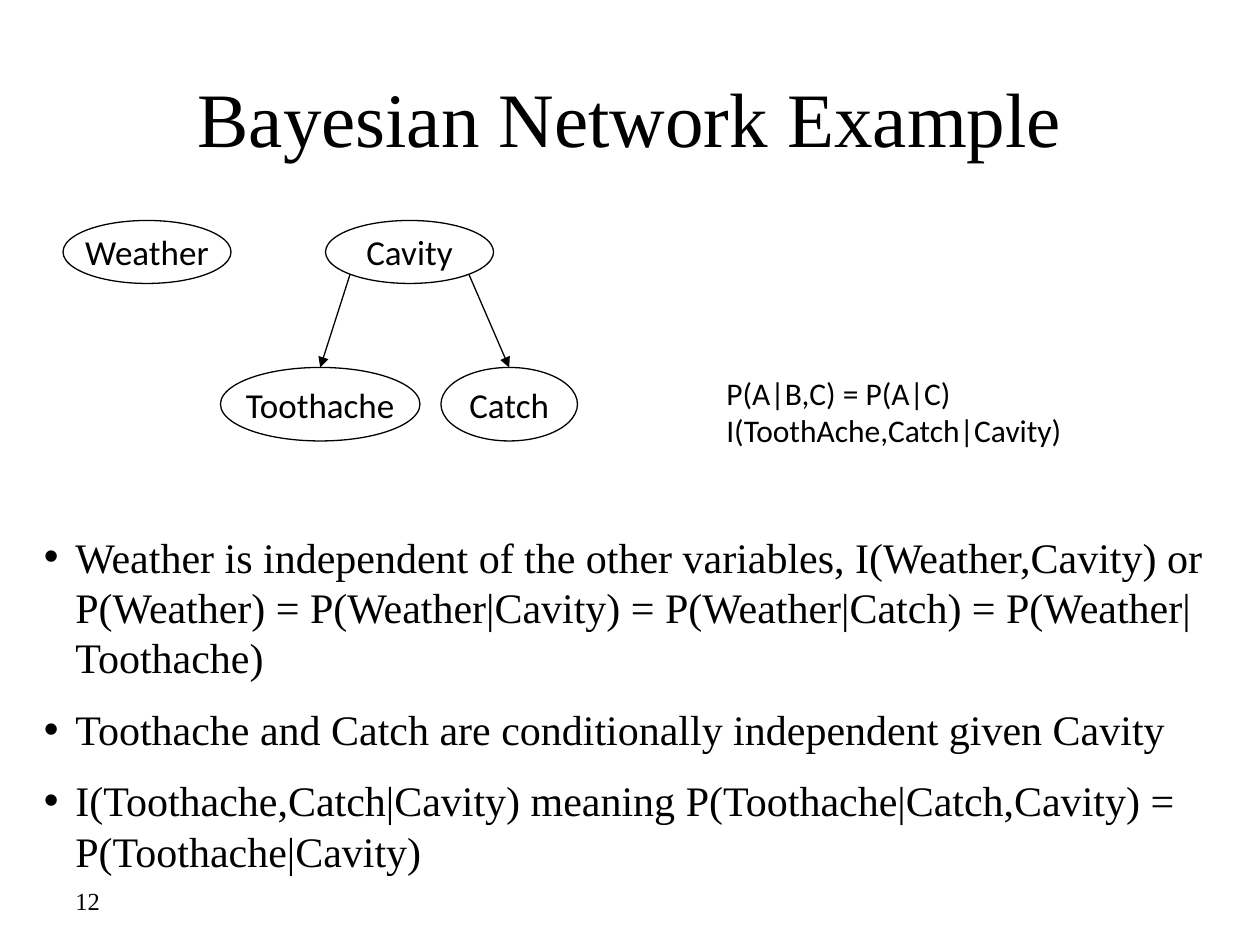
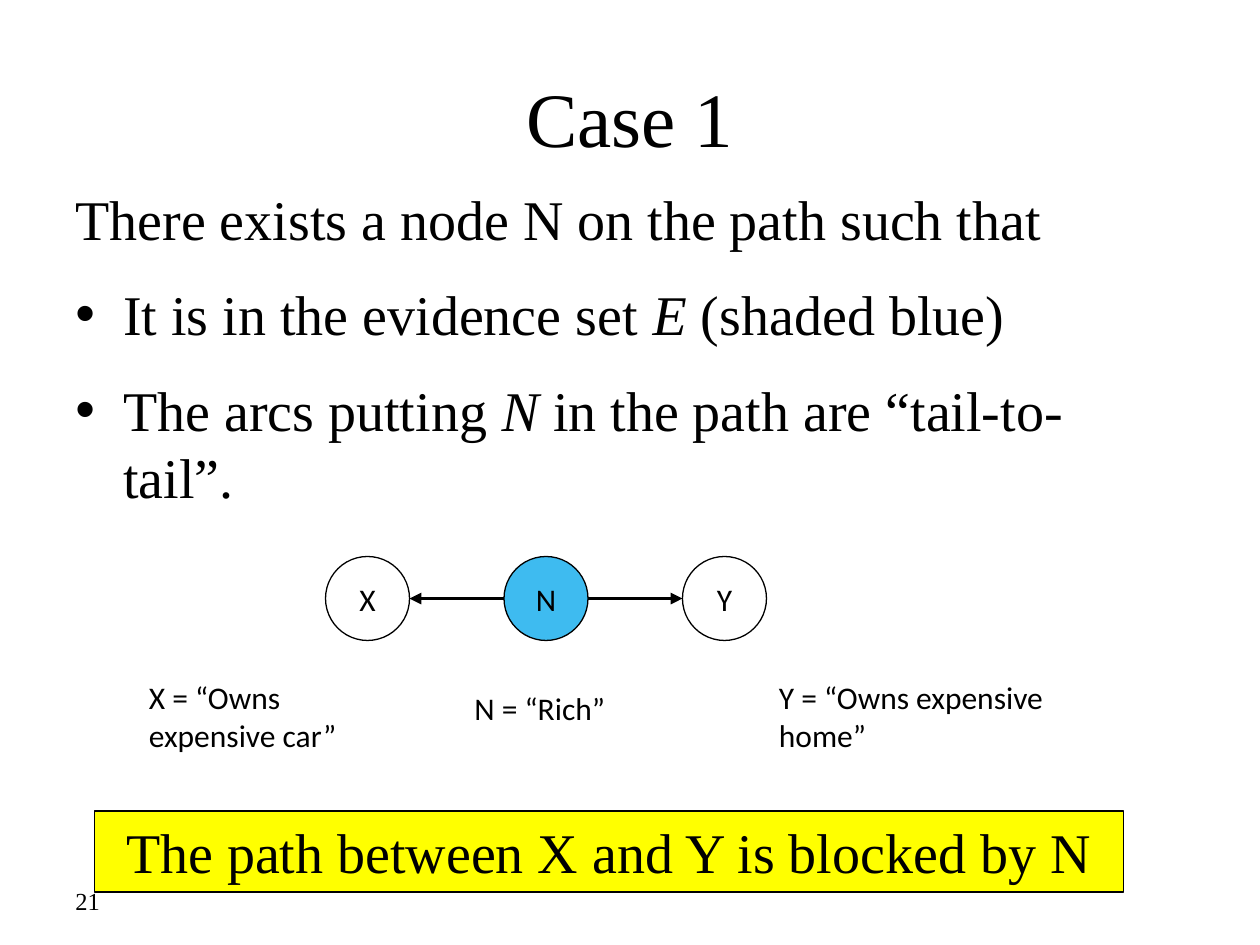
"""Builds two slides on Bayesian networks on a grid of twelfths of an inch."""
from dataclasses import dataclass
from math import cos, pi

from lxml.etree import SubElement
from pptx import Presentation
from pptx.dml.color import RGBColor as Color
from pptx.enum.shapes import MSO_CONNECTOR as Connector, MSO_SHAPE as Shape
from pptx.enum.text import MSO_ANCHOR as Anchor, PP_ALIGN as Align
from pptx.oxml.ns import qn
from pptx.util import Inches, Pt


@dataclass(frozen=True)
class Theme:
    serif: str = "Times New Roman"
    sans: str = "Calibri"
    ink: str = "000000"
    evidence: str = "3EBBF0"
    highlight: str = "FFFF00"
    title: int = 44
    large: int = 32
    body: int = 24
    node: int = 20
    label: int = 18
    number: int = 14
    thin: float = 0.75
    thick: float = 2.25


THEME = Theme()
COLUMNS, ROWS = 120, 90
TITLE_AREA = (6, 3.6, 108, 15)
NUMBER_AREA = (6, 83.4, 28, 4.8)

NETWORK = {
    "title": "Bayesian Network Example",
    "number": "12",
    "nodes": {
        "Weather": (6, 21, 16, 6),
        "Cavity": (31, 21, 16, 6),
        "Toothache": (21, 35, 19, 7),
        "Catch": (42, 35, 13, 7),
    },
    "arcs": [("Cavity", "Toothache", -1), ("Cavity", "Catch", 1)],
    "formulas": ["P(A|B,C) = P(A|C)", "I(ToothAche,Catch|Cavity)"],
    "formulas_area": (68, 35, 60, 10.8),
    "points": [
        "• Weather is independent of the other variables, I(Weather,Cavity) or "
        "P(Weather) = P(Weather|Cavity) = P(Weather|Catch) = P(Weather|Toothache)",
        "• Toothache and Catch are conditionally independent given Cavity",
        "• I(Toothache,Catch|Cavity) meaning P(Toothache|Catch,Cavity) = P(Toothache|Cavity)",
    ],
    "points_area": (3, 50, 113, 34.8),
}

CASE = {
    "title": "Case 1",
    "number": "21",
    "points": [
        "There exists a node N on the path such that",
        "• It is in the evidence set *E *(shaded blue)",
        "• The arcs putting *N* in the path are “tail-to-tail”.",
    ],
    "points_area": (6, 17, 104, 33.2),
    "chain": ["X", "N", "Y"],
    "evidence": "N",
    "chain_start": (31, 53),
    "chain_step": 17,
    "circle": 8,
    "meanings": [
        ("X = “Owns expensive car”", (13, 64, 27, 10.8)),
        ("Y = “Owns expensive home”", (73, 64, 33, 10.8)),
        ("N = “Rich”", (44, 65, 26, 6)),
    ],
    "verdict": "The path between X and Y is blocked by N",
    "verdict_area": (9, 77.25, 98, 7.7),
}


def grid(*cells):
    return [Inches(cell / 12) for cell in cells]


def write(box, lines, size, font, align=Align.LEFT, anchor=Anchor.TOP,
          wrap=True, indent=0, gap=0):
    """Fill a box; a leading • makes a bullet and * switches italics."""
    frame = box.text_frame
    frame.word_wrap = wrap
    frame.vertical_anchor = anchor
    for index, line in enumerate(lines):
        para = frame.paragraphs[0] if index == 0 else frame.add_paragraph()
        para.alignment = align
        para.space_before = Pt(gap if index else 0)
        props = para._p.get_or_add_pPr()
        if indent:
            props.set("marL", str(Inches(indent)))
            props.set("indent", str(-Inches(indent)))
        if line.startswith("• "):
            SubElement(props, qn("a:buFont"), typeface="Arial")
            SubElement(props, qn("a:buChar"), char="•")
        for part, text in enumerate(line.removeprefix("• ").split("*")):
            span = para.add_run()
            span.text = text
            span.font.name = font
            span.font.size = Pt(size)
            span.font.italic = part % 2 == 1
            span.font.color.rgb = Color.from_string(THEME.ink)


def add_text(page, area, lines, size, font=THEME.serif, **style):
    write(page.shapes.add_textbox(*grid(*area)), lines, size, font, **style)


def add_outlined(page, kind, area, text, size, font, fill=None, wrap=False):
    shape = page.shapes.add_shape(kind, *grid(*area))
    shape.shadow.inherit = False
    if fill:
        shape.fill.solid()
        shape.fill.fore_color.rgb = Color.from_string(fill)
    else:
        shape.fill.background()
    shape.line.color.rgb = Color.from_string(THEME.ink)
    shape.line.width = Pt(THEME.thin)
    write(shape, [text], size, font, Align.CENTER, Anchor.MIDDLE, wrap)
    return shape


def add_arrow(page, start, end, width):
    arrow = page.shapes.add_connector(Connector.STRAIGHT, *grid(*start, *end))
    arrow.line.color.rgb = Color.from_string(THEME.ink)
    arrow.line.width = Pt(width)
    SubElement(arrow.line._get_or_add_ln(), qn("a:tailEnd"), type="triangle")
    SubElement(arrow._element.spPr, qn("a:effectLst"))
    return arrow


def add_page(deck, content):
    page = deck.slides.add_slide(deck.slide_layouts[6])
    add_text(page, NUMBER_AREA, [content["number"]], THEME.number, anchor=Anchor.MIDDLE)
    add_text(page, TITLE_AREA, [content["title"]], THEME.title,
             align=Align.CENTER, anchor=Anchor.MIDDLE)
    return page


def add_points(page, content, size, indent):
    add_text(page, content["points_area"], content["points"], size,
             indent=indent, gap=size / 2)


def build_network(deck):
    page = add_page(deck, NETWORK)
    areas = NETWORK["nodes"]
    nodes = {name: add_outlined(page, Shape.OVAL, area, name, THEME.node, THEME.sans)
             for name, area in areas.items()}
    for parent, child, side in NETWORK["arcs"]:
        left, top, width, height = areas[parent]
        reach = cos(pi / 4)
        start = (left + width / 2 * (1 + side * reach), top + height / 2 * (1 + reach))
        child_left, child_top, child_width, _ = areas[child]
        end = (child_left + child_width / 2, child_top)
        add_arrow(page, start, end, THEME.thin).end_connect(nodes[child], 0)
    add_points(page, NETWORK, THEME.body, 0.25)
    add_text(page, NETWORK["formulas_area"], NETWORK["formulas"], THEME.label, THEME.sans)


def build_case(deck):
    page = add_page(deck, CASE)
    add_points(page, CASE, THEME.large, 0.38)
    left, top = CASE["chain_start"]
    step, size = CASE["chain_step"], CASE["circle"]
    for index, name in enumerate(CASE["chain"]):
        fill = THEME.evidence if name == CASE["evidence"] else None
        add_outlined(page, Shape.OVAL, (left + index * step, top, size, size),
                     name, THEME.label, THEME.sans, fill)
    center = left + step + size / 2
    middle = top + size / 2
    for side in (-1, 1):
        add_arrow(page, (center + side * size / 2, middle),
                  (center + side * (step - size / 2), middle), THEME.thick)
    add_outlined(page, Shape.RECTANGLE, CASE["verdict_area"], CASE["verdict"],
                 THEME.large, THEME.serif, THEME.highlight, wrap=True)
    for meaning, area in CASE["meanings"]:
        add_text(page, area, [meaning], THEME.label, THEME.sans)


def main():
    deck = Presentation()
    deck.slide_width, deck.slide_height = grid(COLUMNS, ROWS)
    build_network(deck)
    build_case(deck)
    deck.save("out.pptx")


if __name__ == "__main__":
    main()
